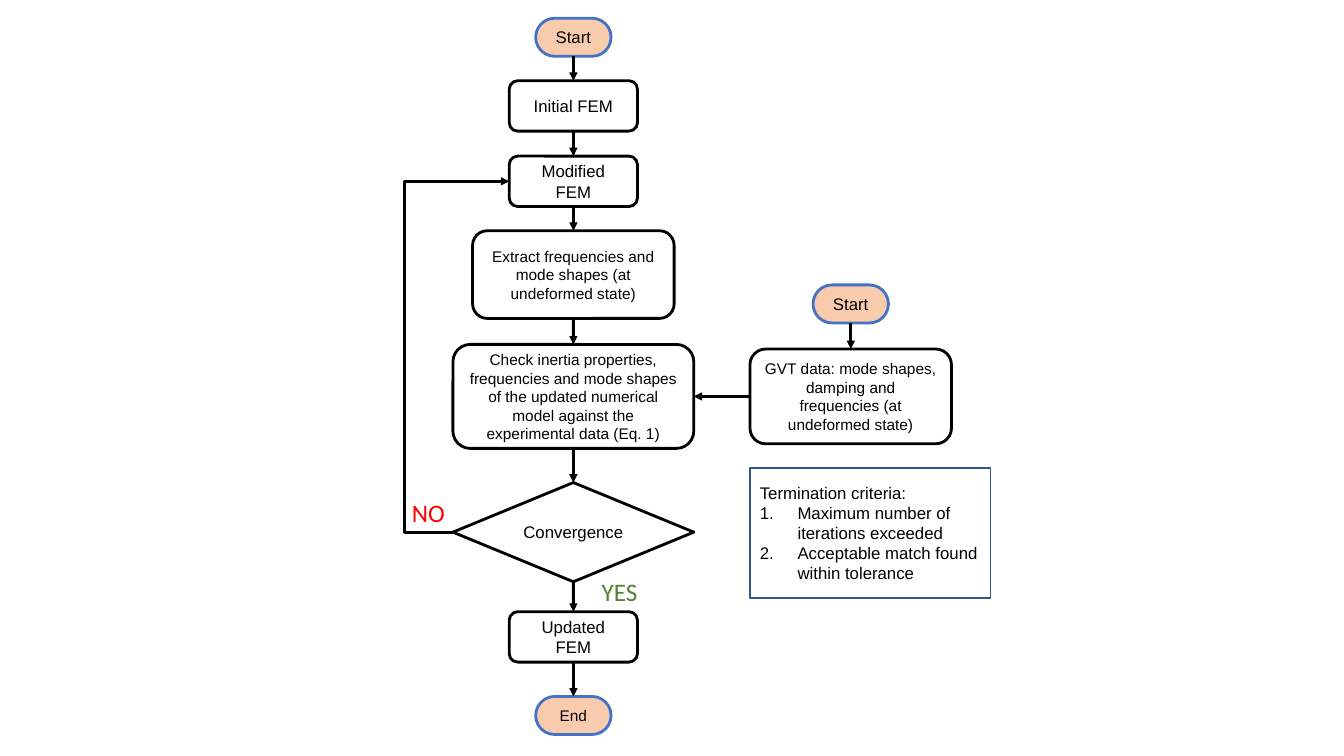
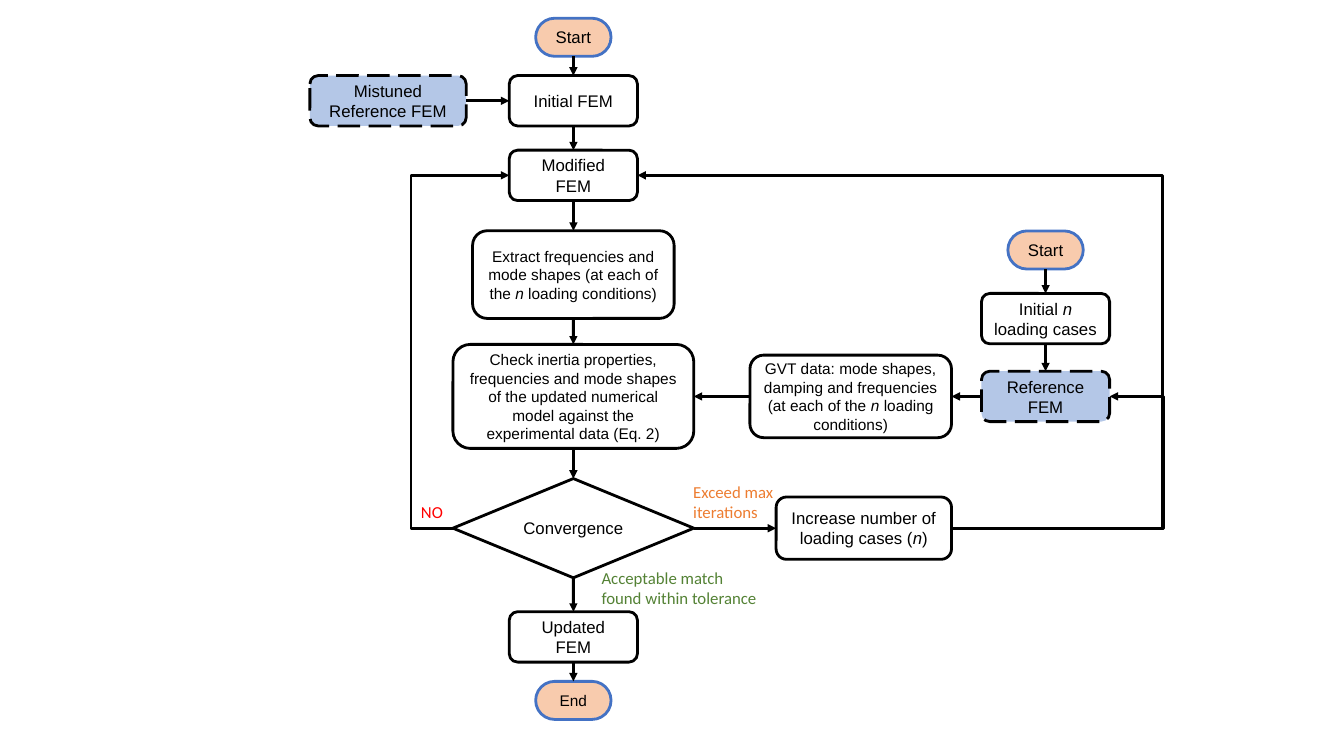
from lxml import etree
from pptx import Presentation
from pptx.dml.color import RGBColor
from pptx.enum.dml import MSO_LINE
from pptx.enum.shapes import MSO_CONNECTOR, MSO_SHAPE
from pptx.enum.text import MSO_ANCHOR, MSO_AUTO_SIZE, PP_ALIGN
from pptx.oxml.ns import qn
from pptx.util import Cm, Pt

ROUND, DIAMOND, RECT = MSO_SHAPE.ROUNDED_RECTANGLE, MSO_SHAPE.DIAMOND, MSO_SHAPE.RECTANGLE
STRAIGHT, ELBOW = MSO_CONNECTOR.STRAIGHT, MSO_CONNECTOR.ELBOW
CENTER, LEFT_ALIGN = PP_ALIGN.CENTER, PP_ALIGN.LEFT
TOP_ANCHOR, MIDDLE = MSO_ANCHOR.TOP, MSO_ANCHOR.MIDDLE
FIT_SHAPE = MSO_AUTO_SIZE.SHAPE_TO_FIT_TEXT
LONG_DASH = MSO_LINE.LONG_DASH
TOP, LEFT, BOTTOM, RIGHT = range(4)

BLACK = RGBColor(0x00, 0x00, 0x00)
WHITE = RGBColor(0xFF, 0xFF, 0xFF)
PEACH = RGBColor(0xF8, 0xCB, 0xAD)
BLUE = RGBColor(0x44, 0x72, 0xC4)
PALE_BLUE = RGBColor(0xB4, 0xC7, 0xE7)
NAVY = RGBColor(0x32, 0x54, 0x91)
GREEN = RGBColor(0x54, 0x82, 0x35)
RED = RGBColor(0xFF, 0x00, 0x00)
ORANGE = RGBColor(0xED, 0x7D, 0x31)

STYLES = {
    "terminal": dict(geometry=ROUND, fill=PEACH, line=BLUE, radius=0.5),
    "step": dict(geometry=ROUND, fill=WHITE, line=BLACK),
    "reference": dict(geometry=ROUND, fill=PALE_BLUE, line=BLACK, dash=LONG_DASH),
    "decision": dict(geometry=DIAMOND, fill=WHITE, line=BLACK),
}

MAIN_X, GVT_X, REF_X = 14.45, 21.44, 26.35
CHECK_Y = 9.99
PILL, SMALL = (1.9, 0.96), (3.23, 1.27)
EXTRACT, WIDE, DECISION = (5.08, 2.21), (6.07, 2.62), (6.07, 2.5)


def main_column(initial_y, modified_y, decision_y, end_y, state, equation):
    return [
        ("start", "terminal", "Start", MAIN_X, 0.94, PILL, 12),
        ("initial", "step", "Initial FEM", MAIN_X, initial_y, SMALL, 12),
        ("modified", "step", "Modified FEM", MAIN_X, modified_y, SMALL, 12),
        ("extract", "step", f"Extract frequencies and mode shapes ({state})",
         MAIN_X, 6.92, EXTRACT, 11),
        ("check", "step", "Check inertia properties, frequencies and mode shapes of the updated "
         f"numerical model against the experimental data ({equation})",
         MAIN_X, CHECK_Y, WIDE, 11),
        ("decision", "decision", "Convergence", MAIN_X, decision_y, DECISION, 12),
        ("updated", "step", "Updated FEM", MAIN_X, 16.05, SMALL, 12),
        ("end", "terminal", "End", MAIN_X, end_y, PILL, 11),
    ]


def gvt_data(state, height):
    return ("gvt", "step", f"GVT data: mode shapes, damping and frequencies ({state})",
            GVT_X, CHECK_Y, (5.08, height), 11)


UNDEFORMED = "at undeformed state"
LOADED = "at each of the *n* loading conditions"
MAIN_CHAIN = ["start", "initial", "modified", "extract", "check", "decision", "updated", "end"]

SLIDES = [
    dict(
        nodes=main_column(2.67, 4.57, 13.41, 18.03, UNDEFORMED, "Eq. 1") + [
            gvt_data(UNDEFORMED, 2.39),
            ("gvt start", "terminal", "Start", GVT_X, 7.66, PILL, 12),
        ],
        chains=[MAIN_CHAIN, ["gvt start", "gvt"]],
        links=[
            ("gvt", LEFT, "check", RIGHT, None),
            ("decision", LEFT, "modified", LEFT, 10.19),
        ],
        labels=[
            ("YES", GREEN, 18, (14.91, 14.4, 1.6, 1.02)),
            ("NO", RED, 18, (10.13, 12.4, 1.6, 1.02)),
        ],
        criteria=["Termination criteria:", "Maximum number of iterations exceeded",
                  "Acceptable match found within tolerance"],
    ),
    dict(
        nodes=main_column(2.54, 4.42, 13.31, 17.65, LOADED, "Eq. 2") + [
            gvt_data(LOADED, 2.08),
            ("increase", "step", "Increase number of loading cases (*n*)",
             21.77, 13.31, (4.42, 1.57), 12),
            ("ref start", "terminal", "Start", REF_X, 6.3, PILL, 12),
            ("cases", "step", "Initial *n* loading cases", REF_X, 8.03, SMALL, 12),
            ("reference", "reference", "Reference FEM", REF_X, CHECK_Y, SMALL, 12),
            ("mistuned", "reference", "Mistuned Reference FEM", 9.78, 2.54, (3.94, 1.27), 12),
        ],
        chains=[MAIN_CHAIN, ["ref start", "cases", "reference"]],
        links=[
            ("mistuned", RIGHT, "initial", LEFT, None),
            ("reference", LEFT, "gvt", RIGHT, None),
            ("gvt", LEFT, "check", RIGHT, None),
            ("decision", RIGHT, "increase", LEFT, None),
            ("decision", LEFT, "modified", LEFT, 10.36),
            ("increase", RIGHT, "modified", RIGHT, 29.31),
            ("increase", RIGHT, "reference", RIGHT, 29.31),
        ],
        labels=[
            ("Acceptable match found within tolerance", GREEN, 12, (14.91, 14.17, 4.5, 1.28)),
            ("NO", RED, 12, (10.36, 12.52, 1.17, 0.76)),
            ("Exceed max iterations", ORANGE, 12, (17.22, 12.01, 2.59, 1.28)),
        ],
        criteria=[],
    ),
]


def write(p, text, size=12, color=BLACK, font="Arial", align=CENTER):
    p.alignment = align
    for i, part in enumerate(text.split("*")):
        r = p.add_run()
        r.text = part
        r.font.name, r.font.size = font, Pt(size)
        r.font.color.rgb = color
        r.font.italic = i % 2 == 1


def add_node(s, style, text, x, y, size, font_size):
    look = STYLES[style]
    w, h = size
    sp = s.shapes.add_shape(look["geometry"], Cm(x - w / 2), Cm(y - h / 2), Cm(w), Cm(h))
    sp.shadow.inherit = False
    if "radius" in look:
        sp.adjustments[0] = look["radius"]
    sp.fill.solid()
    sp.fill.fore_color.rgb = look["fill"]
    sp.line.color.rgb = look["line"]
    sp.line.width = Pt(2)
    if "dash" in look:
        sp.line.dash_style = look["dash"]
    tf = sp.text_frame
    tf.word_wrap, tf.vertical_anchor = True, MIDDLE
    write(tf.paragraphs[0], text, size=font_size)
    return sp


def add_arrow(s, source, source_side, target, target_side, via=None):
    kind = STRAIGHT if via is None else ELBOW
    c = s.shapes.add_connector(kind, 0, 0, 0, 0)
    c.begin_connect(source, source_side)
    c.end_connect(target, target_side)
    c.line.color.rgb = BLACK
    c.line.width = Pt(2)
    etree.SubElement(c.line._get_or_add_ln(), qn("a:tailEnd"), type="triangle")
    pr = c._element.spPr
    etree.SubElement(pr, qn("a:effectLst"))
    if via is not None:
        bend = round((Cm(via) - c.begin_x) / (c.end_x - c.begin_x) * 100000)
        guides = pr.find(qn("a:prstGeom")).get_or_add_avLst()
        etree.SubElement(guides, qn("a:gd"), name="adj1", fmla=f"val {bend}")


def add_label(s, text, color, size, box):
    tf = s.shapes.add_textbox(*map(Cm, box)).text_frame
    tf.word_wrap, tf.auto_size, tf.vertical_anchor = True, FIT_SHAPE, TOP_ANCHOR
    write(tf.paragraphs[0], text, size=size, color=color, font="Calibri", align=LEFT_ALIGN)


def add_criteria(s, lines):
    sp = s.shapes.add_shape(RECT, Cm(18.9), Cm(11.79), Cm(6.07), Cm(3.28))
    sp.shadow.inherit = False
    sp.fill.background()
    sp.line.color.rgb = NAVY
    sp.line.width = Pt(1)
    tf = sp.text_frame
    tf.word_wrap, tf.vertical_anchor = True, MIDDLE
    for i, line in enumerate(lines):
        p = tf.add_paragraph() if i else tf.paragraphs[0]
        if i:
            pr = p._p.get_or_add_pPr()
            pr.set("marL", str(Cm(0.95)))
            pr.set("indent", str(-Cm(0.95)))
            etree.SubElement(pr, qn("a:buFont"), typeface="+mj-lt")
            etree.SubElement(pr, qn("a:buAutoNum"), type="arabicPeriod")
        write(p, line, align=LEFT_ALIGN)


def add_flowchart(prs, chart):
    s = prs.slides.add_slide(prs.slide_layouts[6])
    nodes = {name: add_node(s, *details) for name, *details in chart["nodes"]}
    for chain in chart["chains"]:
        for upper, lower in zip(chain, chain[1:]):
            add_arrow(s, nodes[upper], BOTTOM, nodes[lower], TOP)
    for source, source_side, target, target_side, via in chart["links"]:
        add_arrow(s, nodes[source], source_side, nodes[target], target_side, via)
    for label in chart["labels"]:
        add_label(s, *label)
    if chart["criteria"]:
        add_criteria(s, chart["criteria"])


def main():
    prs = Presentation()
    prs.slide_width, prs.slide_height = Cm(33.87), Cm(19.05)
    for chart in SLIDES:
        add_flowchart(prs, chart)
    prs.save("out.pptx")


if __name__ == "__main__":
    main()
